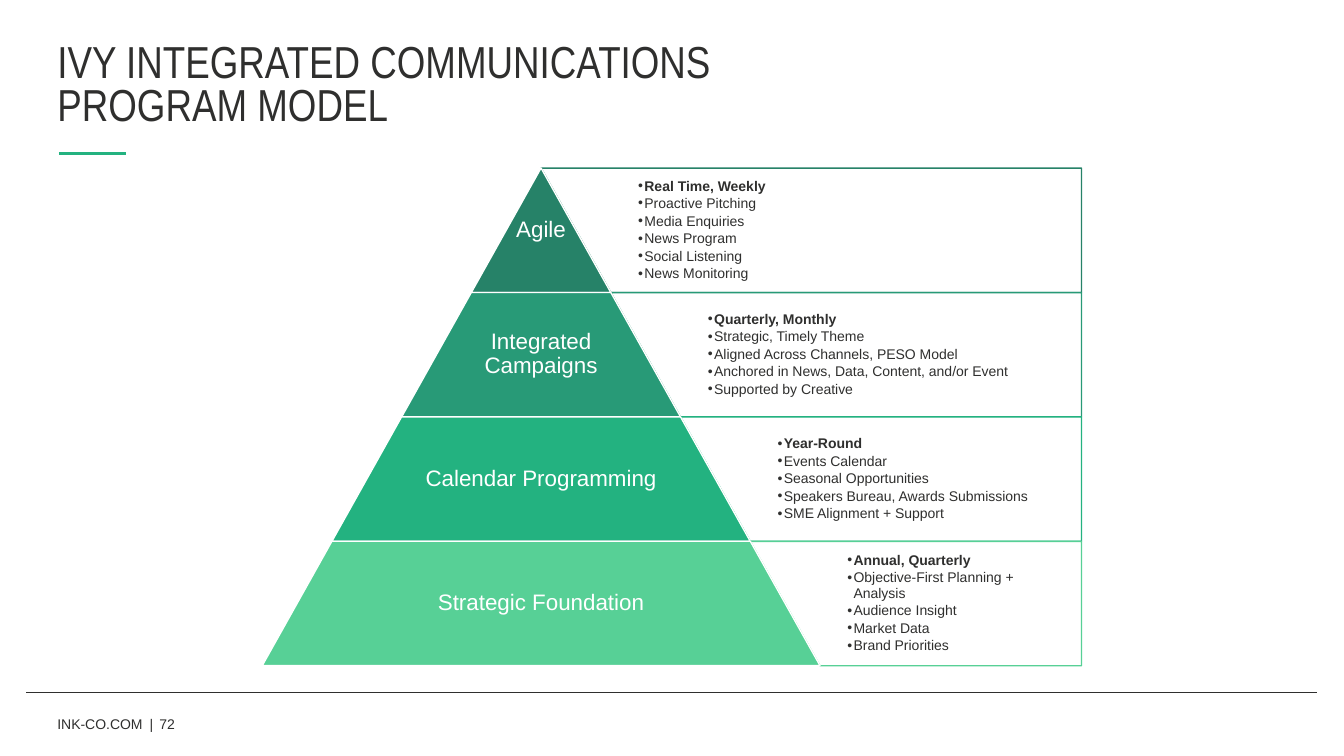
"""Build a slide with a four-tier program pyramid and a list beside each tier."""
from lxml.etree import SubElement as Sub
from pptx import Presentation
from pptx.dml.color import RGBColor as RGB
from pptx.enum.shapes import MSO_CONNECTOR as Link, MSO_SHAPE as Kind
from pptx.enum.text import MSO_ANCHOR as Anchor, MSO_AUTO_SIZE as Fit, PP_ALIGN as Align
from pptx.oxml.ns import qn
from pptx.util import Pt

INK = RGB(0x2F, 0x2F, 0x2E)
WHITE = RGB(0xFF, 0xFF, 0xFF)
PINE = RGB(0x26, 0x82, 0x68)
TEAL = RGB(0x28, 0x9A, 0x77)
GREEN = RGB(0x23, 0xB2, 0x80)
MINT = RGB(0x57, 0xD0, 0x96)

APEX, TOP, RIGHT = 386.5, 120.1, 772.5
STEP, HIGH = 49.8, 88.85

TIERS = [
    ("Agile", PINE, 1,
     ["Real Time, Weekly", "Proactive Pitching", "Media Enquiries",
      "News Program", "Social Listening", "News Monitoring"]),
    ("Integrated Campaigns", TEAL, 0.65,
     ["Quarterly, Monthly", "Strategic, Timely Theme",
      "Aligned Across Channels, PESO Model",
      "Anchored in News, Data, Content, and/or Event",
      "Supported by Creative"]),
    ("Calendar Programming", GREEN, 0.65,
     ["Year-Round", "Events Calendar", "Seasonal Opportunities",
      "Speakers Bureau, Awards Submissions", "SME Alignment + Support"]),
    ("Strategic Foundation", MINT, 0.65,
     ["Annual, Quarterly", "Objective-First Planning + Analysis",
      "Audience Insight", "Market Data", "Brand Priorities"]),
]


def place(shape, x, y, w, h):
    """Move and size a shape."""
    shape.left, shape.top, shape.width, shape.height = map(Pt, (x, y, w, h))


def frame(shape, inset):
    """Prepare a text frame that wraps and is centred vertically."""
    text = shape.text_frame
    text.word_wrap, text.auto_size = True, Fit.NONE
    text.vertical_anchor = Anchor.MIDDLE
    text.margin_left = text.margin_right = Pt(inset)
    text.margin_top = text.margin_bottom = Pt(inset)
    return text


def style(para, size, color=INK, name="Arial", bold=False, align=Align.LEFT,
          line=1.0, after=0):
    """Set the font and spacing of a paragraph."""
    para.alignment, para.line_spacing = align, line
    para.space_before, para.space_after = Pt(0), Pt(after)
    font = para.font
    font.size, font.name, font.bold = Pt(size), name, bold
    font.color.rgb = color


def add_text(slide, box, words, inset=0, tab=None, **look):
    """Add a text box with one paragraph."""
    text = frame(slide.shapes.add_textbox(*map(Pt, box)), inset)
    para = text.paragraphs[0]
    para.text = words
    if tab:
        stops = Sub(para._p.get_or_add_pPr(), qn("a:tabLst"))
        Sub(stops, qn("a:tab"), pos=str(Pt(tab)), algn="l")
    style(para, **look)


def add_rule(slide, x, y, end, color, width):
    """Add a horizontal line."""
    rule = slide.shapes.add_connector(Link.STRAIGHT, Pt(x), Pt(y), Pt(end), Pt(y))
    rule.line.color.rgb, rule.line.width = color, Pt(width)
    Sub(rule.element.spPr, qn("a:effectLst"))


def add_shape(slide, kind, box, fill, line):
    """Add a filled, outlined shape whose slant follows the pyramid."""
    shape = slide.shapes.add_shape(kind, *map(Pt, box))
    shape.shadow.inherit = False
    shape.fill.solid()
    shape.fill.fore_color.rgb = fill
    shape.line.color.rgb, shape.line.width = line, Pt(1)
    shape.adjustments[len(shape.adjustments) - 1] = round(STEP / HIGH, 2)
    return shape


def add_panel(slide, box, color):
    """Add the outlined panel behind a list."""
    panel = add_shape(slide, Kind.NON_ISOSCELES_TRAPEZOID, box, WHITE, color)
    panel.adjustments[0] = 0
    panel.rotation = 180
    tint = panel.element.spPr.find(qn("a:solidFill")).find(qn("a:srgbClr"))
    Sub(tint, qn("a:alpha"), val="90000")


def fill_list(body, box, items):
    """Put a bulleted list with a bold head into a body placeholder."""
    place(body, *box)
    body.element.getparent().append(body.element)
    text = frame(body, 19.5)
    for i, item in enumerate(items):
        para = text.paragraphs[0] if i == 0 else text.add_paragraph()
        para.text, para.level = item, 1
        props = para._p.get_or_add_pPr()
        props.set("marL", str(Pt(4.5)))
        props.set("indent", str(Pt(-4.5)))
        Sub(props, qn("a:buFont"), typeface="Arial")
        Sub(props, qn("a:buChar"), char="•")
        style(para, 10, bold=i == 0, line=0.9, after=1.7)


def add_tier(slide, row, body):
    """Add one pyramid tier with its label, panel and list."""
    label, color, part, items = TIERS[row]
    y, half = TOP + row * HIGH, (row + 1) * STEP
    edge = APEX + half
    add_panel(slide, (edge - STEP, y, RIGHT - edge + STEP, HIGH), color)
    fill_list(body, (edge, y, RIGHT - edge, HIGH), items)
    add_shape(slide, Kind.TRAPEZOID, (APEX - half, y, 2 * half, HIGH), color, WHITE)
    add_text(slide, (APEX - half * part, y, 2 * half * part, HIGH), label,
             inset=1.5, size=16, color=WHITE, align=Align.CENTER, line=0.9)


def main():
    """Build and save the slide."""
    deck = Presentation()
    deck.slide_width, deck.slide_height = Pt(960), Pt(540)
    slide = deck.slides.add_slide(deck.slide_layouts[4])
    title, *bodies = slide.placeholders
    place(title, 41, 28.8, 881, 67)
    head = frame(title, 0).paragraphs[0]
    head.text = "IVY INTEGRATED COMMUNICATIONS\vPROGRAM MODEL"
    style(head, 32, name="Arial Narrow", line=0.8)
    add_rule(slide, 18.7, 494.6, 941, INK, 1)
    add_rule(slide, 42, 109.5, 90, GREEN, 2)
    add_text(slide, (113.8, 506, 85, 21.6), "72", size=10, after=6)
    add_text(slide, (41, 502.6, 75, 28.8), "INK-CO.COM\t|", tab=66, size=10, after=6)
    for row, body in enumerate(bodies):
        add_tier(slide, row, body)
    deck.save("out.pptx")


if __name__ == "__main__":
    main()
